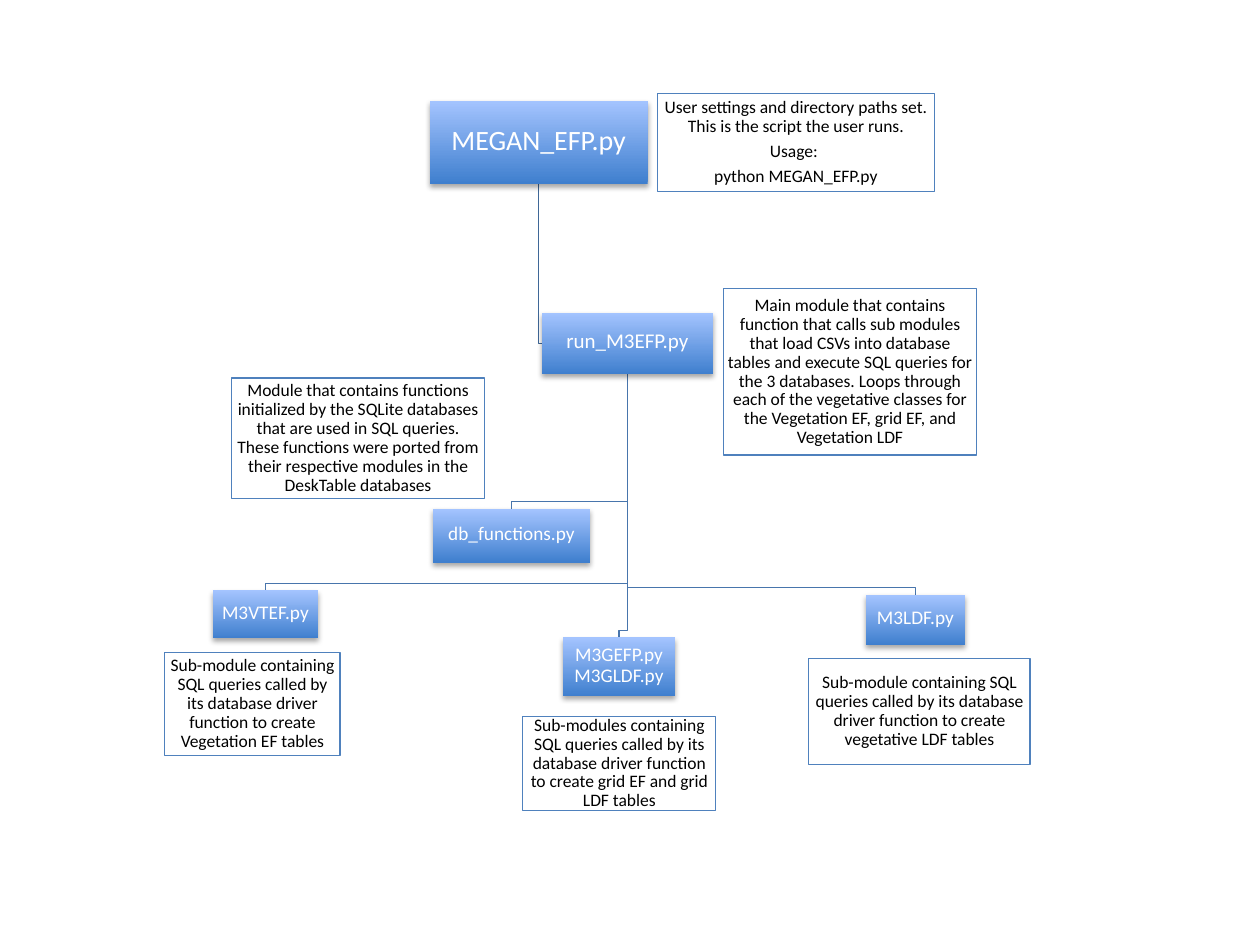
from dataclasses import dataclass

from lxml import etree
from pptx import Presentation
from pptx.dml.color import RGBColor
from pptx.enum.shapes import MSO_SHAPE
from pptx.enum.text import MSO_ANCHOR, PP_ALIGN
from pptx.oxml.ns import qn
from pptx.util import Pt

RECT = MSO_SHAPE.RECTANGLE
MIDDLE = MSO_ANCHOR.MIDDLE
CENTER = PP_ALIGN.CENTER


@dataclass(frozen=True)
class Theme:
    font: str = "Calibri"
    note_size: float = 10
    module_bottom: str = "3F7FCE"
    module_top: str = "A4C4FF"
    module_text: str = "FFFFFF"
    note_fill: str = "FFFFFF"
    note_line: str = "4F81BD"
    note_text: str = "000000"
    root_link: str = "3F6797"
    sub_link: str = "4875AC"
    shadow: str = "000000"
    line_width: float = 0.75


@dataclass
class Module:
    name: str
    size: float
    box: tuple       # left, top, width, height in points
    note: list       # one entry per paragraph
    note_box: tuple

    @property
    def top_center(self):
        x, y, w, _ = self.box
        return x + w / 2, y

    @property
    def bottom_center(self):
        x, y, w, h = self.box
        return x + w / 2, y + h

    @property
    def left_center(self):
        x, y, _, h = self.box
        return x, y + h / 2


ROOT = Module(
    "MEGAN_EFP.py", 16, (245.5, 57.6, 124.6, 47.5),
    ["User settings and directory paths set. This is the script the user runs.",
     "Usage: ", "python MEGAN_EFP.py"],
    (375.6, 53.3, 158.4, 56.2))
MAIN = Module(
    "run_M3EFP.py", 12, (309.6, 178.6, 97.9, 35.3),
    ["Main module that contains function that calls sub modules that load CSVs "
     "into database tables and execute SQL queries for the 3 databases. Loops "
     "through each of the vegetative classes for the Vegetation EF, grid EF, "
     "and Vegetation LDF"],
    (413.3, 165, 144.7, 95))
SUBMODULES = [
    Module(
        "db_functions.py", 11, (247.5, 290.9, 89.6, 30.6),
        ["Module that contains functions initialized by the SQLite databases "
         "that are used in SQL queries. These functions were ported from their "
         "respective modules in the DeskTable databases"],
        (132.2, 216, 144.7, 69.1)),
    Module(
        "M3VTEF.py", 11, (121.7, 337.4, 60, 27.4),
        ["Sub-module containing SQL queries called by its database driver "
         "function to create Vegetation EF tables"],
        (94.1, 373, 100.3, 58.8)),
    Module(
        "M3GEFP.py M3GLDF.py", 11, (321.7, 364.3, 64.1, 33.5),
        ["Sub-modules containing SQL queries called by its database driver "
         "function to create grid EF and grid LDF tables"],
        (298.8, 409.4, 110.2, 53.6)),
    Module(
        "M3LDF.py", 11, (494.8, 340, 56.6, 28.5),
        ["Sub-module containing SQL queries called by its database driver "
         "function to create vegetative LDF tables"],
        (462.2, 376.2, 126.4, 60.7)),
]
BEND = 4.1  # height of the last drop above a submodule


class Diagram:
    def __init__(self, slide, theme):
        self.s = slide
        self.theme = theme

    def link(self, points, color):
        """Draw an open right-angled path through the points."""
        pts = [(Pt(x), Pt(y)) for x, y in points]
        fb = self.s.shapes.build_freeform(*pts[0])
        fb.add_line_segments(pts[1:], close=False)
        sp = fb.convert_to_shape()
        sp.shadow.inherit = False
        sp.fill.background()
        self.outline(sp, color)

    def outline(self, sp, color):
        sp.line.color.rgb = RGBColor.from_string(color)
        sp.line.width = Pt(self.theme.line_width)

    def rect(self, box):
        sp = self.s.shapes.add_shape(RECT, *(Pt(v) for v in box))
        sp.shadow.inherit = False
        return sp

    def module(self, m):
        t = self.theme
        sp = self.rect(m.box)
        sp.fill.gradient()
        sp.fill.gradient_angle = 90
        for stop, color in zip(sp.fill.gradient_stops, (t.module_bottom, t.module_top)):
            stop.color.rgb = RGBColor.from_string(color)
        sp.line.fill.background()
        self.drop_shadow(sp)
        self.text(sp, [m.name], m.size, t.module_text, (0.7, 0.7, 0.7, 2.2))

    def note(self, m):
        t = self.theme
        sp = self.rect(m.note_box)
        sp.fill.solid()
        sp.fill.fore_color.rgb = RGBColor.from_string(t.note_fill)
        clr = sp._element.spPr.find(qn("a:solidFill"))[0]
        etree.SubElement(clr, qn("a:alpha"), val="90000")
        self.outline(sp, t.note_line)
        self.text(sp, m.note, t.note_size, t.note_text, (2, 0.7, 2, 0.7))

    def drop_shadow(self, sp):
        effects = sp._element.spPr.find(qn("a:effectLst"))
        shadow = etree.SubElement(
            effects, qn("a:outerShdw"), blurRad=str(Pt(3.1)), dist=str(Pt(1.8)),
            dir="5400000", rotWithShape="0")
        clr = etree.SubElement(shadow, qn("a:srgbClr"), val=self.theme.shadow)
        etree.SubElement(clr, qn("a:alpha"), val="35000")

    def text(self, sp, paragraphs, size, color, insets):
        tf = sp.text_frame
        tf.word_wrap = True
        tf.vertical_anchor = MIDDLE
        (tf.margin_left, tf.margin_top,
         tf.margin_right, tf.margin_bottom) = (Pt(v) for v in insets)
        for i, line in enumerate(paragraphs):
            p = tf.add_paragraph() if i else tf.paragraphs[0]
            p.alignment = CENTER
            p.line_spacing = 0.9
            p.space_after = Pt(0.35 * size)
            r = p.add_run()
            r.text = line
            r.font.name = self.theme.font
            r.font.size = Pt(size)
            r.font.color.rgb = RGBColor.from_string(color)


def main():
    prs = Presentation()
    prs.slide_width, prs.slide_height = Pt(720), Pt(540)
    theme = Theme()
    d = Diagram(prs.slides.add_slide(prs.slide_layouts[6]), theme)

    # Links from the main module to its submodules
    start = MAIN.bottom_center
    for m in reversed(SUBMODULES):
        x, y = m.top_center
        d.link([start, (start[0], y - BEND), (x, y - BEND), (x, y)], theme.sub_link)

    # Link from the root script to the main module
    start, end = ROOT.bottom_center, MAIN.left_center
    d.link([start, (start[0], end[1]), end], theme.root_link)

    # Modules, each with its note
    for m in [ROOT, MAIN, *SUBMODULES]:
        d.module(m)
        d.note(m)

    prs.save("out.pptx")


if __name__ == "__main__":
    main()
